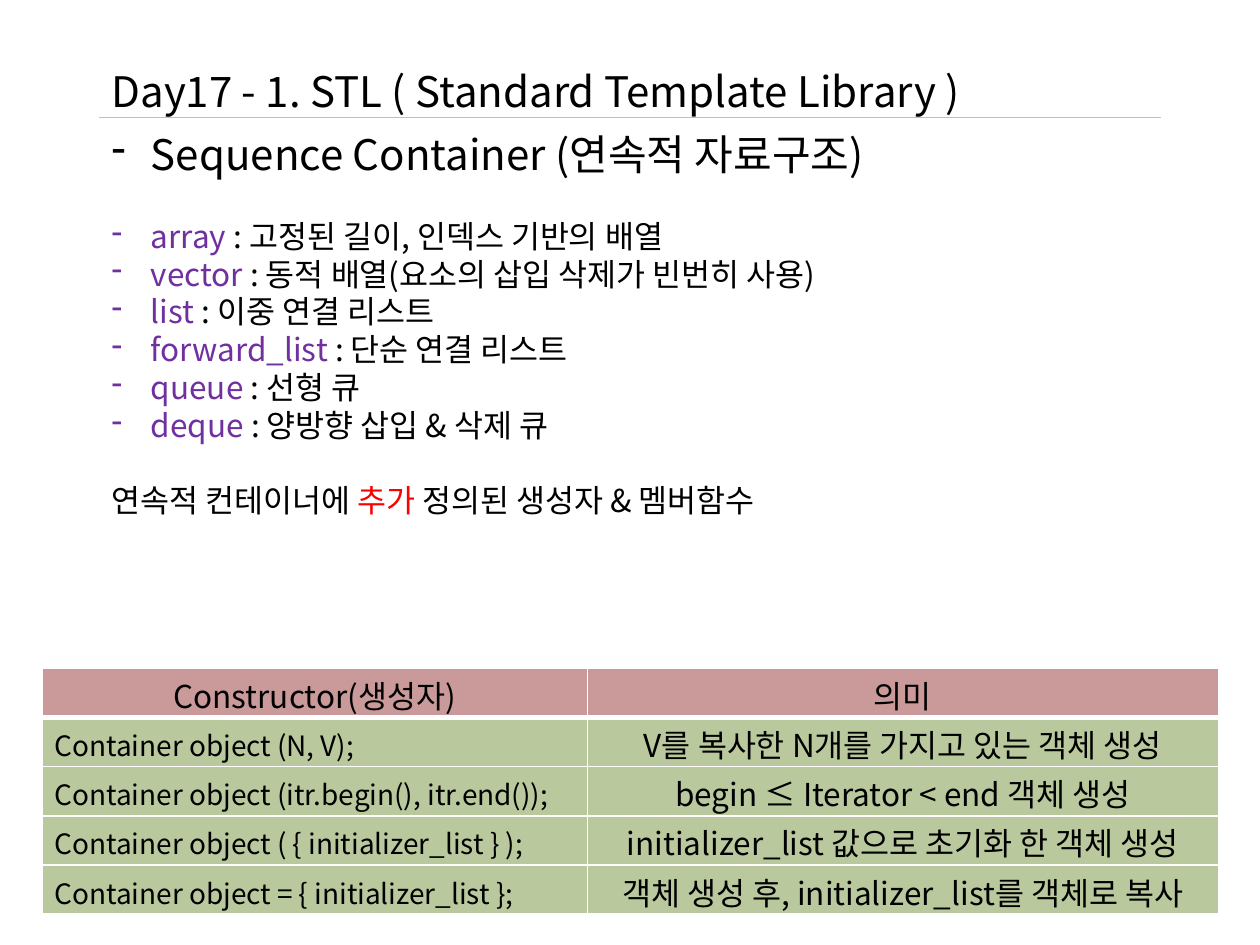
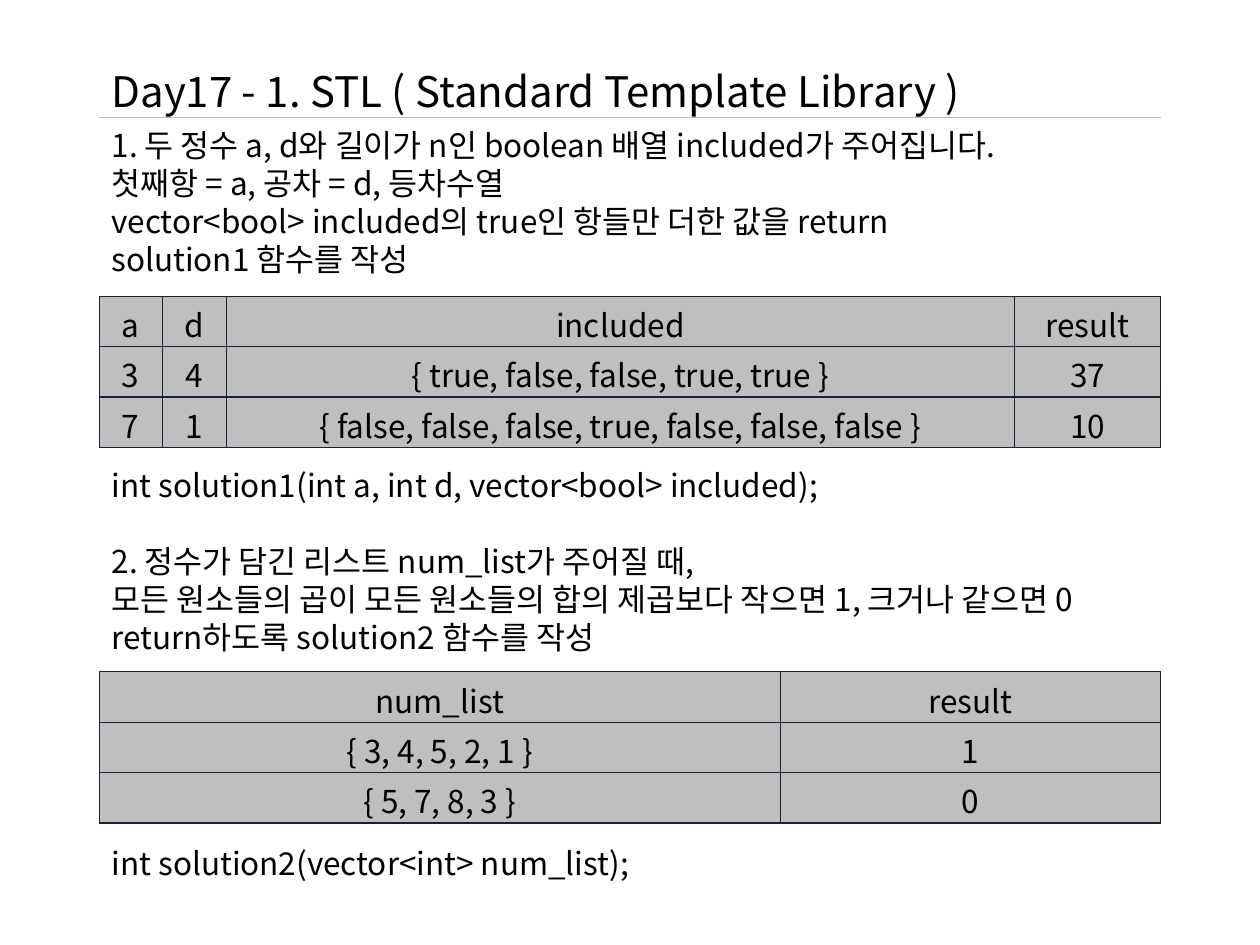
from lxml.etree import SubElement
from pptx import Presentation
from pptx.dml.color import RGBColor
from pptx.enum.shapes import MSO_CONNECTOR
from pptx.enum.text import MSO_ANCHOR, PP_ALIGN
from pptx.oxml import parse_xml
from pptx.oxml.ns import nsdecls, qn
from pptx.util import Pt

FONT = "Noto Sans CJK KR"
BLACK, RED, PURPLE = "000000", "FF0000", "7030A0"
GRAY, NAVY, WHITE = "BFBFBF", "172334", "FFFFFF"
ROSE, GREEN = "953735", "77933C"
LEFT, WIDE, RULE = 56.7, 606.6, 67
LINE = 1.2  # line pitch as a share of the text size


def color(code):
    return RGBColor.from_string(code)


def write(para, runs, size=18, gap=0, dash=False):
    """Fill a paragraph with (text, colour) runs; gap is the space before."""
    para.line_spacing = Pt(size * LINE)
    para.space_before = Pt(gap)
    if dash:
        props = para._p.get_or_add_pPr()
        props.set("marL", str(Pt(22.5)))
        props.set("indent", str(Pt(-22.5)))
        SubElement(props, qn("a:buChar"), char="-")
    for text, code in runs:
        run = para.add_run()
        run.text = text
        run.font.size = Pt(size)
        run.font.name = FONT
        run.font.color.rgb = color(code)
        SubElement(run._r.get_or_add_rPr(), qn("a:ea"), typeface=FONT)


TITLE = [([("Day17 - 1. STL ( Standard Template Library )", BLACK)], 24, 0, False)]

kinds = [
    ("array", " : 고정된 길이, 인덱스 기반의 배열"),
    ("vector", " : 동적 배열(요소의 삽입 삭제가 빈번히 사용)"),
    ("list", " : 이중 연결 리스트"),
    ("forward_list ", ": 단순 연결 리스트"),
    ("queue", " : 선형 큐"),
    ("deque ", ": 양방향 삽입 & 삭제 큐"),
]
intro = [([("Sequence Container (연속적 자료구조)", BLACK)], 24, 0, True)]
for pos, (name, note) in enumerate(kinds):
    intro.append(([(name, PURPLE), (note, BLACK)], 18, 0 if pos else 21.6, True))
extra = [("연속적 컨테이너에 ", BLACK), ("추가", RED), (" 정의된 생성자 & 멤버함수", BLACK)]
intro.append((extra, 18, 21.6, False))

tasks = []
for lines, code in [
    (["1. 두 정수 a, d와 길이가 n인 boolean 배열 included가 주어집니다.",
      "첫째항 = a, 공차 = d, 등차수열",
      "vector<bool> included의 true인 항들만 더한 값을 return",
      "solution1 함수를 작성"],
     "int solution1(int a, int d, vector<bool> included);"),
    (["2. 정수가 담긴 리스트 num_list가 주어질 때,",
      "모든 원소들의 곱이 모든 원소들의 합의 제곱보다 작으면 1, 크거나 같으면 0",
      "return하도록 solution2 함수를 작성"],
     "int solution2(vector<int> num_list);"),
]:
    task = [([(line, BLACK)], 18, 0, False) for line in lines]
    tasks.append(task + [([(code, BLACK)], 18, 108, False)])

makers = [
    ["Constructor(생성자)", "의미"],
    ["Container object (N, V);", "V를 복사한 N개를 가지고 있는 객체 생성"],
    ["Container object (itr.begin(), itr.end());", "begin ≤ Iterator < end 객체 생성"],
    ["Container object ( { initializer_list } );",
     "initializer_list 값으로 초기화 한 객체 생성"],
    ["Container object = { initializer_list };",
     "객체 생성 후, initializer_list를 객체로 복사"],
]
sums = [
    ["a", "d", "included", "result"],
    ["3", "4", "{ true, false, false, true, true }", "37"],
    ["7", "1", "{ false, false, false, true, false, false, false }", "10"],
]
lists = [["num_list", "result"], ["{ 3, 4, 5, 2, 1 }", "1"], ["{ 5, 7, 8, 3 }", "0"]]

# Per slide: text boxes (top, height, paragraphs),
# then tables (left, top, row height, column widths, rows, tinted)
pages = [
    ([(RULE, 232.6, intro)],
     [(24, 381.8, 28.1, [311.6, 360.6], makers, True)]),
    ([(RULE, 225.4, tasks[0]), (304.6, 203.8, tasks[1])],
     [(LEFT, 169.2, 28.8, [36, 36.6, 450.5, 83.5], sums, False),
      (LEFT, 383.8, 28.8, [389.3, 217.3], lists, False)]),
]

deck = Presentation()
deck.slide_width, deck.slide_height = Pt(720), Pt(540)

for texts, tables in pages:
    slide = deck.slides.add_slide(deck.slide_layouts[6])

    rule = slide.shapes.add_connector(
        MSO_CONNECTOR.STRAIGHT, Pt(LEFT), Pt(RULE), Pt(LEFT + WIDE), Pt(RULE))
    rule.line.color.rgb = color(GRAY)
    rule.line.width = Pt(0.75)
    SubElement(rule._element.spPr, qn("a:effectLst"))

    for top, high, paras in [(31, 36, TITLE)] + texts:
        box = slide.shapes.add_textbox(Pt(LEFT), Pt(top), Pt(WIDE), Pt(high))
        frame = box.text_frame
        frame.word_wrap = True
        frame.margin_top = Pt(6.5 if paras[0][1] == 24 else 5.2)
        for pos, (runs, size, gap, dash) in enumerate(paras):
            para = frame.add_paragraph() if pos else frame.paragraphs[0]
            write(para, runs, size, gap, dash)

    for left, top, high, wides, rows, tinted in tables:
        table = slide.shapes.add_table(
            len(rows), len(wides), Pt(left), Pt(top),
            Pt(sum(wides)), Pt(high * len(rows))).table
        table.horz_banding = table.first_row = False
        for col, wide in zip(table.columns, wides):
            col.width = Pt(wide)
        for r, row in enumerate(rows):
            table.rows[r].height = Pt(high)
            for c, text in enumerate(row):
                cell = table.cell(r, c)
                cell.vertical_anchor = MSO_ANCHOR.MIDDLE
                cell.margin_top = Pt(high - 18 * LINE)
                cell.margin_bottom = 0
                para = cell.text_frame.paragraphs[0]
                code = tinted and r > 0 and c == 0
                para.alignment = PP_ALIGN.LEFT if code else PP_ALIGN.CENTER
                write(para, [(text, BLACK)], 16 if code else 18)

                cell.fill.solid()
                shade = (GREEN if r else ROSE) if tinted else GRAY
                cell.fill.fore_color.rgb = color(shade)
                props = cell._tc.get_or_add_tcPr()
                if tinted:
                    tone = props.find(".//" + qn("a:srgbClr"))
                    SubElement(tone, qn("a:alpha"), val="50000")
                for pos, side in enumerate("LRTB"):
                    head = tinted and (r, side) in [(0, "B"), (1, "T")]
                    width = 3 if head else 1 if tinted else 0.75
                    edge = parse_xml(
                        f'<a:ln{side} {nsdecls("a")} w="{Pt(width)}"><a:solidFill>'
                        f'<a:srgbClr val="{WHITE if tinted else NAVY}"/>'
                        f'</a:solidFill></a:ln{side}>')
                    props.insert(pos, edge)

deck.save("out.pptx")
